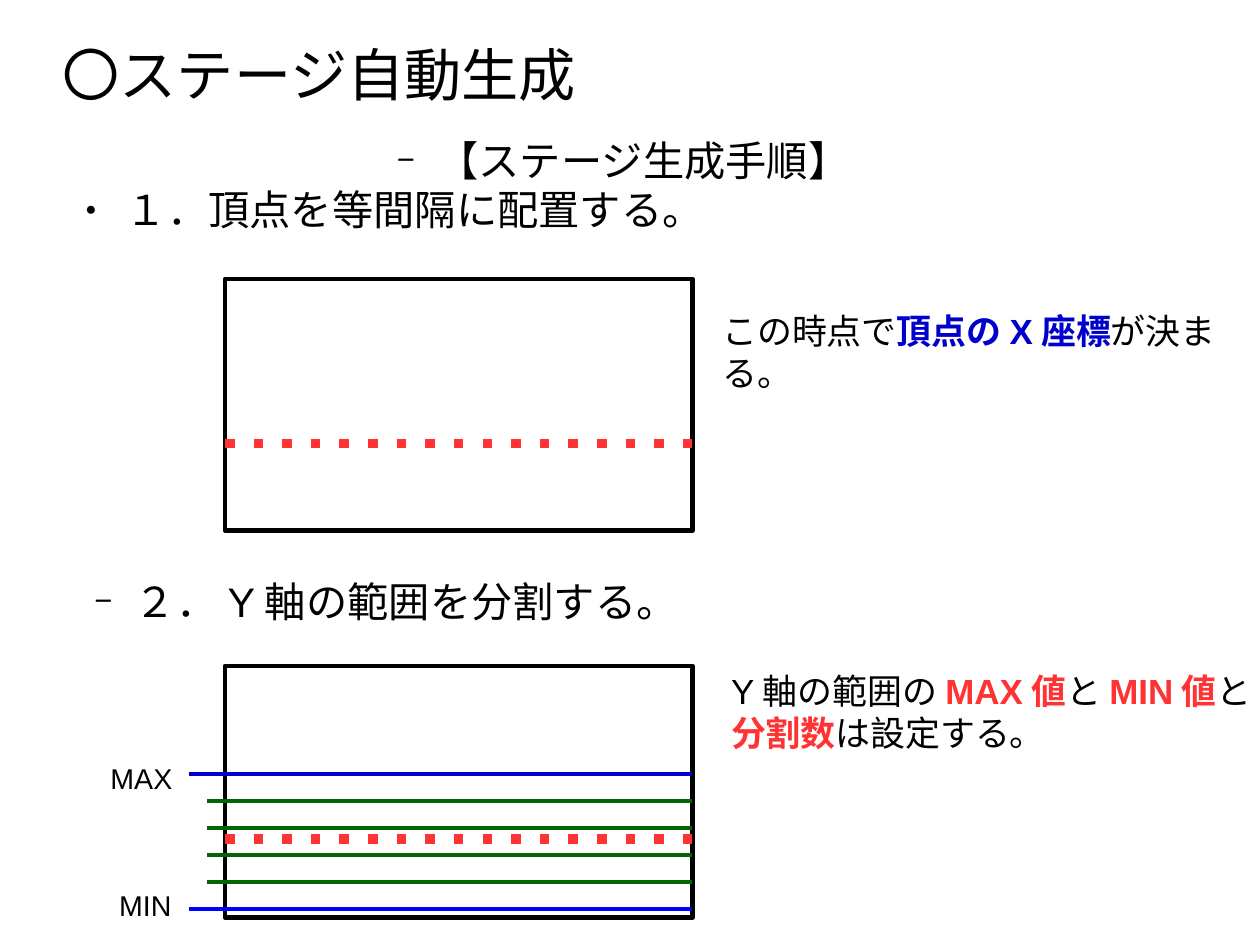
import pptx
import pptx.dml.color
import pptx.enum.shapes
import pptx.enum.text
import pptx.oxml
import pptx.oxml.ns
import pptx.util

Pt = pptx.util.Pt
ALIGN = pptx.enum.text.PP_ALIGN
ANCHOR = pptx.enum.text.MSO_ANCHOR
BLACK, WHITE, RED = "000000", "FFFFFF", "FF3333"
BLUE, BRIGHT_BLUE, GREEN = "0000CC", "0000FF", "006600"


def color(hex_text):
    return pptx.dml.color.RGBColor.from_string(hex_text)


def add_xml(parent, markup):
    """Append one DrawingML element, written without its namespace."""
    root = pptx.oxml.parse_xml(f"<a:x {pptx.oxml.ns.nsdecls('a')}>{markup}</a:x>")
    parent.append(root[0])


class StageSlide:
    font_name = "Arial"
    outline = 2.83

    def __init__(self, slide):
        self.slide = slide

    def style(self, paragraph, size, align=ALIGN.LEFT):
        paragraph.alignment = align
        paragraph.space_before = Pt(0)
        paragraph.font.name = self.font_name
        paragraph.font.size = Pt(size)
        paragraph.font.color.rgb = color(BLACK)

    def place(self, holder, box, anchor):
        """Move a placeholder and clear its insets."""
        holder.left, holder.top, holder.width, holder.height = map(Pt, box)
        frame = holder.text_frame
        frame.margin_left = frame.margin_right = Pt(0)
        frame.margin_top = frame.margin_bottom = Pt(0)
        frame.auto_size = pptx.enum.text.MSO_AUTO_SIZE.NONE
        frame.vertical_anchor = anchor
        return frame

    def title(self, text, box):
        frame = self.place(self.slide.shapes.title, box, ANCHOR.MIDDLE)
        frame.text = text
        self.style(frame.paragraphs[0], 36)

    def steps(self, index, box, items):
        """Fill a body placeholder with (text, level, alignment) items."""
        frame = self.place(self.slide.placeholders[index], box, ANCHOR.TOP)
        frame.text = "\n".join(text for text, _, _ in items)
        for paragraph, (_, level, align) in zip(frame.paragraphs, items):
            bullet, percent = ("−", 75) if level else ("●", 45)
            paragraph.level = level
            props = paragraph._p.get_or_add_pPr()
            props.set("marL", str(Pt(34 * (level + 1))))
            props.set("indent", str(Pt(-25.5)))
            add_xml(props, f'<a:buClr><a:srgbClr val="{BLACK}"/></a:buClr>')
            add_xml(props, f'<a:buSzPct val="{percent * 1000}"/>')
            add_xml(props, f'<a:buChar char="{bullet}"/>')
            self.style(paragraph, 26, align)

    def note(self, box, size, *lines):
        """Add a text box; each line lists (text, highlight colour or None)."""
        frame = self.slide.shapes.add_textbox(*map(Pt, box)).text_frame
        frame.word_wrap = True
        for number, parts in enumerate(lines):
            paragraph = frame.add_paragraph() if number else frame.paragraphs[0]
            self.style(paragraph, size)
            for text, highlight in parts:
                run = paragraph.add_run()
                run.text = text
                if highlight:
                    run.font.bold = True
                    run.font.color.rgb = color(highlight)

    def stage(self, left, top, width, height):
        stage = self.slide.shapes.add_shape(
            pptx.enum.shapes.MSO_SHAPE.RECTANGLE, *map(Pt, (left, top, width, height)))
        stage.shadow.inherit = False
        stage.fill.solid()
        stage.fill.fore_color.rgb = color(WHITE)
        stage.line.color.rgb = color(BLACK)
        stage.line.width = Pt(self.outline)

    def level_line(self, left, right, y, hex_text, width=outline):
        level = self.slide.shapes.add_connector(
            pptx.enum.shapes.MSO_CONNECTOR.STRAIGHT, Pt(left), Pt(y), Pt(right), Pt(y))
        level.line.color.rgb = color(hex_text)
        level.line.width = Pt(width)
        add_xml(level._element.spPr, "<a:effectLst/>")
        return level

    def vertices(self, left, right, y):
        """Draw the row of evenly spaced square vertices."""
        row = self.level_line(left, right, y, RED, 6)
        add_xml(row.line._get_or_add_ln(),
                '<a:custDash><a:ds d="100000" sp="200000"/></a:custDash>')


def main():
    deck = pptx.Presentation()
    deck.slide_width, deck.slide_height = Pt(793.75), Pt(595.25)
    page = StageSlide(deck.slides.add_slide(deck.slide_layouts[3]))
    stage_left, stage_width, stage_height = 141.75, 294.5, 158.5
    stage_right = stage_left + stage_width

    page.title("〇ステージ自動生成", (39.5, 19.5, 471, 54))
    page.steps(1, (45.25, 85, 652.5, 73.5), [
        ("【ステージ生成手順】", 1, ALIGN.CENTER),
        ("１．頂点を等間隔に配置する。", 0, ALIGN.LEFT)])
    page.stage(stage_left, 175.75, stage_width, stage_height)
    page.vertices(stage_left, stage_right, 279.25)
    page.note((448, 191.5, 345.5, 98), 22, [
        ("この時点で", None), ("頂点のX座標", BLUE), ("が決まる。", None)])

    page.steps(2, (17, 363, 589.5, 34), [
        ("２．Y軸の範囲を分割する。", 1, ALIGN.LEFT)])
    page.note((453.5, 418.25, 345.5, 98), 22,
              [("Y軸の範囲の", None), ("MAX値", RED), ("と", None),
               ("MIN値", RED), ("と", None)],
              [("分割数", RED), ("は設定する。", None)])
    page.stage(stage_left, 419.5, stage_width, stage_height)
    page.vertices(stage_left, stage_right, 528.5)

    max_y, step, divisions = 487.5, 17, 5
    for number in range(divisions + 1):
        limit = {0: BLUE, divisions: BRIGHT_BLUE}.get(number)
        page.level_line(119 if limit else 130.5, stage_right,
                        max_y + number * step, limit or GREEN)
    page.note((62.5, 476, 57, 27.5), 18, [("MAX", None)])
    page.note((68, 555.5, 51, 28), 18, [("MIN", None)])
    deck.save("out.pptx")


if __name__ == "__main__":
    main()
